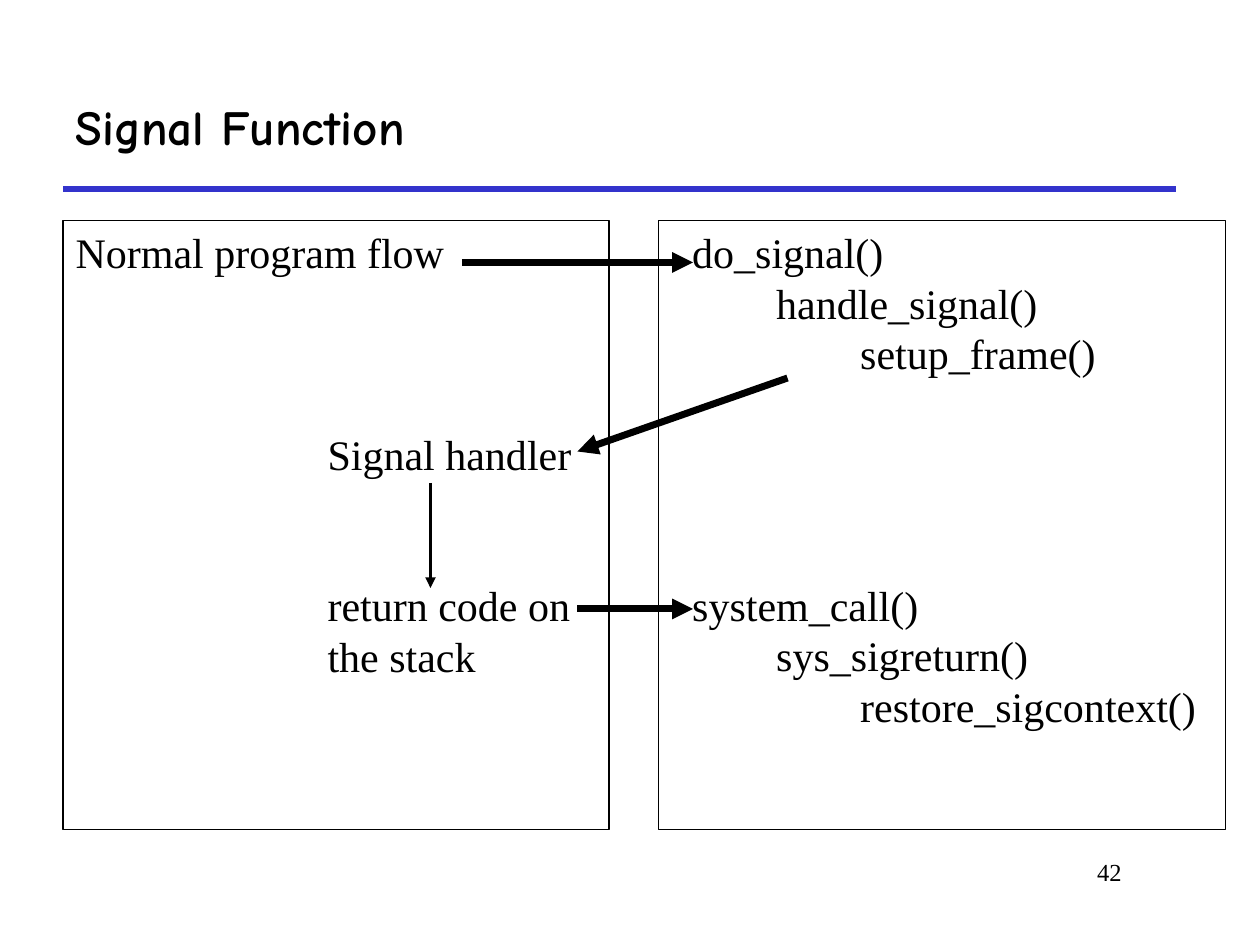
from dataclasses import dataclass

from pptx import Presentation
from pptx.dml.color import RGBColor
from pptx.enum.shapes import MSO_CONNECTOR as Connector, MSO_SHAPE as Preset
from pptx.enum.text import MSO_ANCHOR as Anchor, MSO_AUTO_SIZE as AutoSize, PP_ALIGN as Align
from pptx.oxml.ns import qn
from pptx.util import Pt

BLACK = RGBColor(0x00, 0x00, 0x00)
BLUE = RGBColor(0x33, 0x33, 0xCC)
SERIF = "Times New Roman"
LINE_PITCH = 28.8
CALL_INDENT = 48


@dataclass
class Step:
    text: str
    indent: float = 0
    lines_skipped: int = 0


@dataclass
class Line:
    start: tuple[float, float]
    end: tuple[float, float]
    width: float
    color: RGBColor = BLACK
    arrow: bool = True


def call(name: str, depth: int, lines_skipped: int = 0) -> Step:
    return Step(name, 12 + CALL_INDENT * depth, lines_skipped)


USER_STEPS = [
    Step("Normal program flow"),
    Step("Signal handler", 144, 3),
    Step("return code on", 144, 2),
    Step("the stack", 144),
]
KERNEL_STEPS = [
    call("do_signal()", 0),
    call("handle_signal()", 1),
    call("setup_frame()", 2),
    call("system_call()", 0, 4),
    call("sys_sigreturn()", 1),
    call("restore_sigcontext()", 2),
]
TITLE_RULE = Line((36, 108), (672, 108), 3, BLUE, arrow=False)
FLOW = [
    Line((264, 150), (396, 150), 4),
    Line((450, 216), (330, 258), 4),
    Line((246, 276), (246, 336), 2),
    Line((330, 348), (396, 348), 4),
]


def place(shape, left: float, top: float, width: float, height: float) -> None:
    shape.left, shape.top = Pt(left), Pt(top)
    shape.width, shape.height = Pt(width), Pt(height)


def style(paragraph, size: float, font: str = SERIF, bold: bool = False) -> None:
    for run in paragraph.runs:
        run.font.name, run.font.size, run.font.bold = font, Pt(size), bold
        run.font.color.rgb = BLACK


def fill_panel(panel, steps: list[Step]) -> None:
    """Outline the panel and write one indented paragraph per step."""
    panel.fill.background()
    panel.line.color.rgb = BLACK
    panel.line.width = Pt(0.75)
    frame = panel.text_frame
    frame.word_wrap = True
    frame.auto_size = AutoSize.NONE
    frame.vertical_anchor = Anchor.TOP
    frame.text = "\n".join(step.text for step in steps)
    for paragraph, step in zip(frame.paragraphs, steps):
        paragraph.alignment = Align.LEFT
        paragraph.line_spacing = Pt(LINE_PITCH)
        paragraph.space_before = Pt(step.lines_skipped * LINE_PITCH)
        style(paragraph, 24)
        properties = paragraph._p.get_or_add_pPr()
        properties.set("marL", str(Pt(step.indent)))
        properties.set("indent", "0")
        properties.append(properties.makeelement(qn("a:buNone"), {}))


def draw_line(shapes, line: Line) -> None:
    points = [Pt(value) for value in (*line.start, *line.end)]
    connector = shapes.add_connector(Connector.STRAIGHT, *points)
    connector.line.color.rgb = line.color
    connector.line.width = Pt(line.width)
    if line.arrow:
        outline = connector.line._get_or_add_ln()
        outline.append(outline.makeelement(qn("a:tailEnd"), {"type": "triangle"}))
    properties = connector._element.spPr
    properties.append(properties.makeelement(qn("a:effectLst"), {}))


def main() -> None:
    deck = Presentation()
    deck.slide_width, deck.slide_height = Pt(720), Pt(540)
    slide = deck.slides.add_slide(deck.slide_layouts[1])
    shapes = slide.shapes
    draw_line(shapes, TITLE_RULE)

    title = shapes.title
    place(title, 36, 36, 636, 72)
    title.text_frame.text = "Signal Function"
    title.text_frame.auto_size = AutoSize.NONE
    title.text_frame.vertical_anchor = Anchor.MIDDLE
    heading = title.text_frame.paragraphs[0]
    heading.alignment = Align.LEFT
    style(heading, 28, "Comic Neue", bold=True)

    user_panel = slide.placeholders[1]
    place(user_panel, 36, 126, 312, 348)
    fill_panel(user_panel, USER_STEPS)

    kernel_panel = shapes.add_shape(Preset.RECTANGLE, Pt(376.5), Pt(126), Pt(324), Pt(348))
    kernel_panel.shadow.inherit = False
    fill_panel(kernel_panel, KERNEL_STEPS)

    for line in FLOW:
        draw_line(shapes, line)

    page_number = shapes.add_textbox(Pt(546), Pt(486), Pt(102), Pt(36)).text_frame
    page_number.word_wrap = True
    page_number.text = "42"
    page_number.paragraphs[0].alignment = Align.RIGHT
    style(page_number.paragraphs[0], 14)

    deck.save("out.pptx")


if __name__ == "__main__":
    main()
